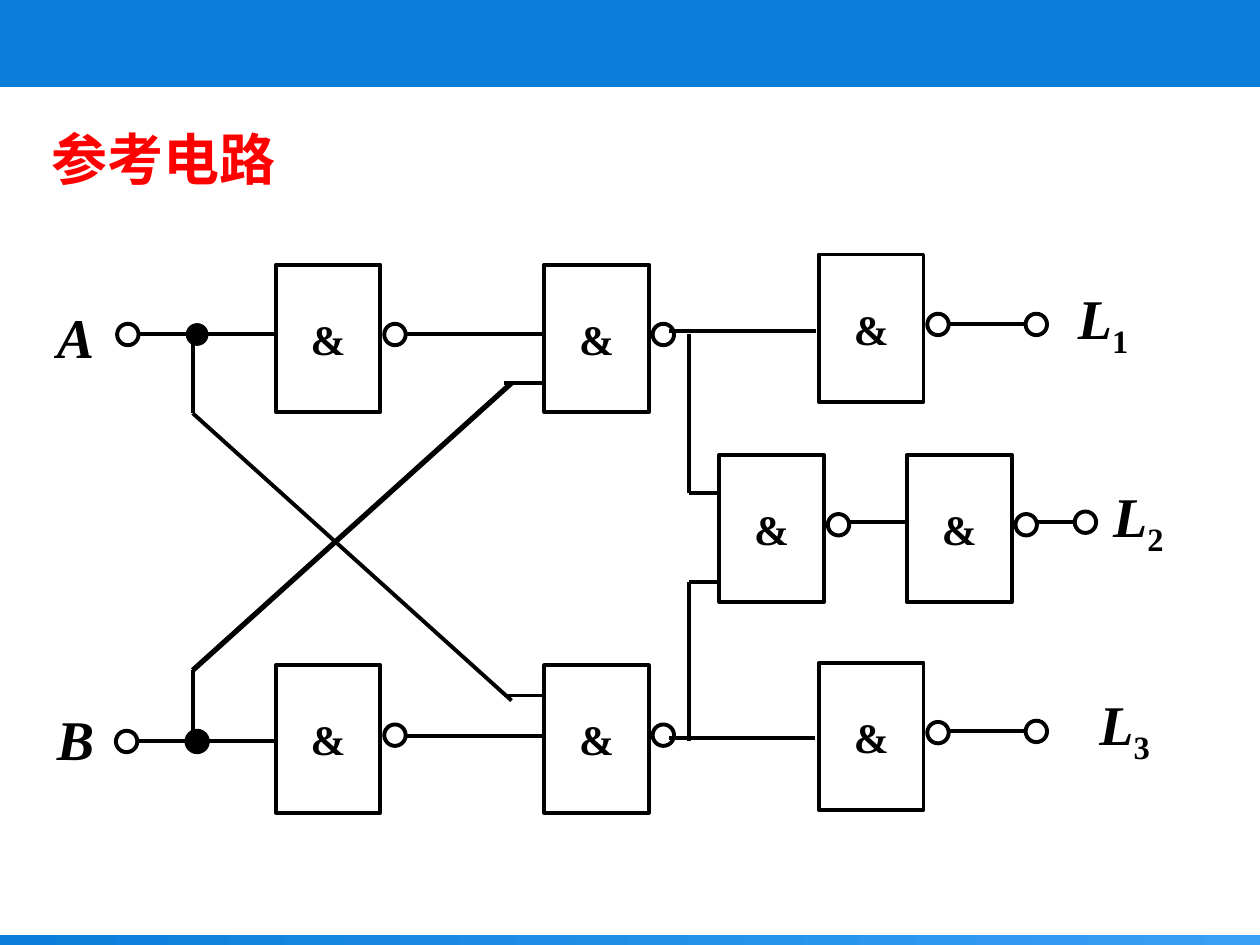
from lxml.etree import SubElement
from pptx import Presentation
from pptx.dml.color import RGBColor
from pptx.enum.shapes import MSO_CONNECTOR, MSO_SHAPE
from pptx.enum.text import MSO_ANCHOR, PP_ALIGN
from pptx.oxml.ns import qn
from pptx.util import Inches, Pt

COLORS = {"ink": "000000", "title": "FF0000", "band": "0C7ED9", "glow": "389FF4"}
FONT = "Times New Roman"
TITLE = "参考电路"
GATE_SYMBOL = "&"
GATE_WIDTH, GATE_HEIGHT = 0.83, 1.17
CIRCLE = 0.17
BUBBLE_DX, BUBBLE_DY = 0.86, 0.47
LABEL_HEIGHT = 0.75
WIRE_WIDTH = 2.25

GATES = [
    (2.19, 2.1), (4.32, 2.1), (2.19, 5.28), (4.32, 5.28),
    (5.71, 3.61), (7.2, 3.61), (6.5, 2.02), (6.5, 5.26),
]
TERMINALS = [(0.93, 2.57), (0.92, 5.8), (8.14, 2.49), (8.53, 4.06), (8.14, 5.72)]
JUNCTIONS = [(1.48, 2.57, 0.75), (1.48, 5.8, 2.25)]
LABELS = [
    ("A", "", 0.35, 2.29, 0.5),
    ("B", "", 0.35, 5.48, 0.5),
    ("L", "1", 8.42, 2.18, 0.67),
    ("L", "2", 8.7, 3.75, 0.67),
    ("L", "3", 8.59, 5.4, 0.67),
]
WIRES = [
    [(1.09, 2.65), (2.19, 2.65)],
    [(1.09, 5.88), (2.19, 5.88)],
    [(3.22, 2.65), (4.32, 2.65)],
    [(3.22, 5.84), (4.32, 5.84)],
    [(1.53, 2.65), (1.53, 3.28), (4.06, 5.56)],
    [(4, 5.52), (4.32, 5.52)],
    [(1.53, 5.88), (1.53, 5.32)],
    [(4.32, 3.04), (4, 3.04)],
    [(5.31, 2.63), (6.48, 2.63)],
    [(5.31, 5.86), (6.47, 5.86)],
    [(5.47, 2.65), (5.47, 3.91), (5.71, 3.91)],
    [(5.47, 5.88), (5.47, 4.62), (5.71, 4.62)],
    [(6.73, 4.14), (7.2, 4.14)],
    [(8.23, 4.14), (8.54, 4.14)],
    [(7.52, 2.57), (8.15, 2.57)],
    [(7.52, 5.8), (8.15, 5.8)],
]
HEAVY_WIRE = [(4.06, 3.04), (1.53, 5.32)]
HEAVY_WIDTH = 3


def rgb(name):
    return RGBColor.from_string(COLORS[name])


def style(run, size, color="ink", italic=False):
    run.font.name = FONT
    run.font.size = Pt(size)
    run.font.bold = True
    run.font.italic = italic
    run.font.color.rgb = rgb(color)


def add_outline(slide, kind, x, y, width, height, line=WIRE_WIDTH, fill=None):
    outline = slide.shapes.add_shape(kind, *map(Inches, (x, y, width, height)))
    outline.shadow.inherit = False
    if fill:
        outline.fill.solid()
        outline.fill.fore_color.rgb = rgb(fill)
    else:
        outline.fill.background()
    if line:
        outline.line.width = Pt(line)
        outline.line.color.rgb = rgb("ink")
    else:
        outline.line.fill.background()
    return outline


def add_circle(slide, x, y, line=WIRE_WIDTH, fill=None):
    add_outline(slide, MSO_SHAPE.OVAL, x, y, CIRCLE, CIRCLE, line, fill)


def add_gate(slide, x, y):
    gate = add_outline(slide, MSO_SHAPE.RECTANGLE, x, y, GATE_WIDTH, GATE_HEIGHT)
    frame = gate.text_frame
    frame.word_wrap = False
    frame.vertical_anchor = MSO_ANCHOR.MIDDLE
    frame.text = GATE_SYMBOL
    frame.paragraphs[0].alignment = PP_ALIGN.CENTER
    style(frame.paragraphs[0].runs[0], 24)
    add_circle(slide, x + BUBBLE_DX, y + BUBBLE_DY)


def add_wire(slide, points, width=WIRE_WIDTH):
    for start, end in zip(points, points[1:]):
        wire = slide.shapes.add_connector(
            MSO_CONNECTOR.STRAIGHT, *map(Inches, start + end))
        wire.line.width = Pt(width)
        wire.line.color.rgb = rgb("ink")
        SubElement(wire._element.spPr, qn("a:effectLst"))


def add_text(slide, x, y, width, height, wrap, anchor):
    frame = slide.shapes.add_textbox(*map(Inches, (x, y, width, height))).text_frame
    frame.word_wrap = wrap
    frame.vertical_anchor = anchor
    frame.paragraphs[0].alignment = PP_ALIGN.CENTER
    return frame.paragraphs[0]


def add_label(slide, letter, index, x, y, width):
    label = add_text(slide, x, y, width, LABEL_HEIGHT, False, MSO_ANCHOR.MIDDLE)
    label.text = letter
    style(label.runs[0], 32, italic=True)
    if index:
        subscript = label.add_run()
        subscript.text = index
        style(subscript, 32)
        subscript.font._element.set("baseline", "-25000")


def main():
    deck = Presentation()
    deck.slide_width, deck.slide_height = Inches(10), Inches(7.5)
    slide = deck.slides.add_slide(deck.slide_layouts[6])

    footer = add_outline(slide, MSO_SHAPE.RECTANGLE, 0, 7.42, 10, 0.11, line=None)
    footer.fill.gradient()
    footer.fill.gradient_angle = 180
    for stop, color in zip(footer.fill.gradient_stops, ("glow", "band")):
        stop.color.rgb = rgb(color)
    add_outline(slide, MSO_SHAPE.RECTANGLE, 0, 0, 10, 0.69, line=None, fill="band")

    title = add_text(slide, 0.27, 0.94, 2.05, 0.58, True, MSO_ANCHOR.TOP)
    title.text = TITLE
    style(title.runs[0], 32, "title")

    for gate in GATES:
        add_gate(slide, *gate)
    for terminal in TERMINALS:
        add_circle(slide, *terminal)
    for x, y, line in JUNCTIONS:
        add_circle(slide, x, y, line, "ink")
    for wire in WIRES:
        add_wire(slide, wire)
    add_wire(slide, HEAVY_WIRE, HEAVY_WIDTH)
    for label in LABELS:
        add_label(slide, *label)

    deck.save("out.pptx")


if __name__ == "__main__":
    main()
